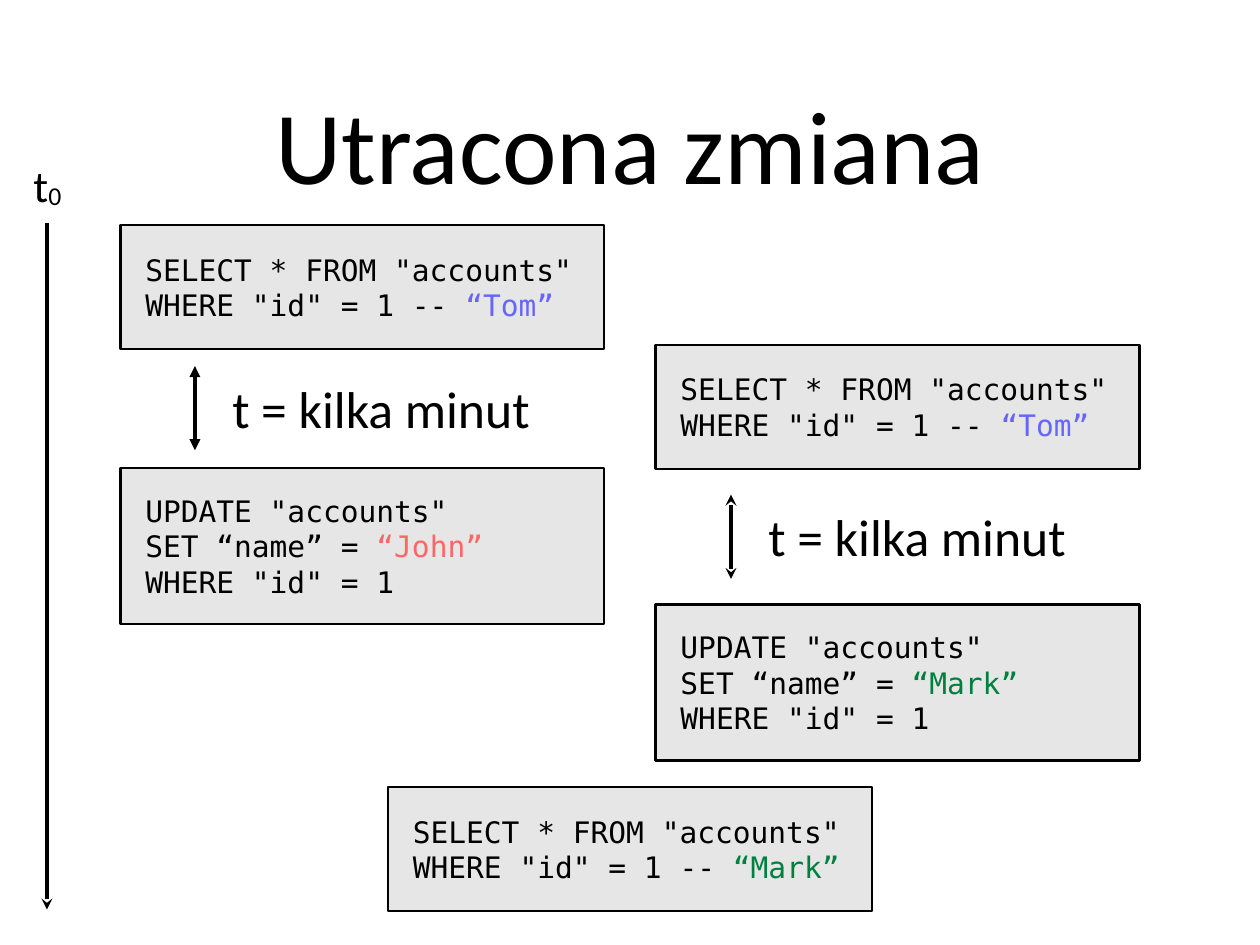
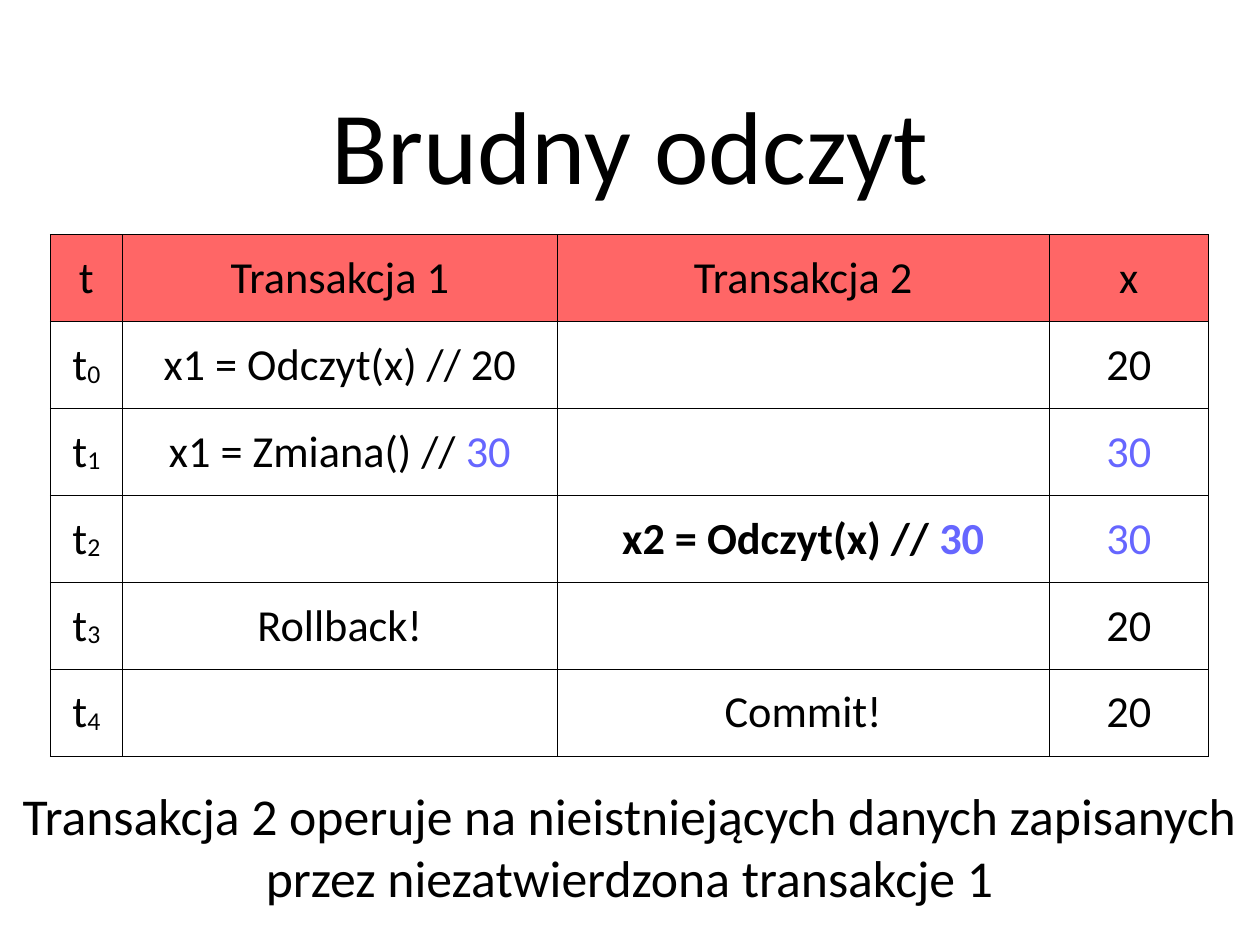
from dataclasses import dataclass

from lxml import etree
from pptx import Presentation
from pptx import util as u
from pptx.dml.color import RGBColor
from pptx.enum import shapes, text
from pptx.oxml import parse_xml
from pptx.oxml.ns import nsdecls, qn

PX = 9144  # EMU per px, 100 px to the inch


@dataclass(frozen=True)
class Theme:
    ink: str = "000000"
    panel: str = "E6E6E6"
    blue: str = "6666FF"
    red: str = "FF6666"
    green: str = "008040"
    sans: str = "Calibri"
    mono: str = "DejaVu Sans Mono"
    title: int = 84
    body: int = 42
    cell: int = 36
    code: int = 24
    frame: int = 2
    arrow: int = 3
    subscript: int = -6000


THEME = Theme()
SLIDE_SIZE = (1422, 1066)
TITLE_AREA = (139, 28, 1144, 267)


# A line of text is a list of runs: (text, options)
def moment(index):
    return [("t", {}), (index, {"sub": True})]


def select(name, color):
    return [[('SELECT * FROM "accounts"', {})],
            [('WHERE "id" = 1 -- ', {}), (name, {"color": color})]]


def update(name, color):
    return [[('UPDATE "accounts"', {})],
            [("SET “name” = ", {}), (name, {"color": color})],
            [('WHERE "id" = 1', {})]]


LOST_TITLE = "Utracona zmiana"
QUERIES = [  # left, top, lines
    (136, 254, select("“Tom”", THEME.blue)),
    (740, 389, select("“Tom”", THEME.blue)),
    (136, 528, update("“John”", THEME.red)),
    (740, 682, update("“Mark”", THEME.green)),
    (438, 888, select("“Mark”", THEME.green)),
]
QUERY_WIDTH, QUERY_PADDING, CODE_LINE, QUERY_INSET = 546, 68, 36, 28
WAIT_TEXT = "t = kilka minut"
WAITS = [(220, 413, "triangle"), (825, 558, "stealth")]  # arrow x, top, head
WAIT_LENGTH = 95
WAIT_LABEL = (16, 12, 388, 70)  # offset from the arrow's top, then size
TIME_AXIS = (53, 1026, 53, 252)
TIME_START = (36, 179, 35, 60)

DIRTY_TITLE = "Brudny odczyt"
THIRTY = ("30", {"color": THEME.blue})
BOLD_THIRTY = ("30", {"color": THEME.blue, "bold": True})
SCHEDULE = [
    [[("t", {})], [("Transakcja 1", {})], [("Transakcja 2", {})], [("x", {})]],
    [moment("0"), [("x1 = Odczyt(x) // 20", {})], [], [("20", {})]],
    [moment("1"), [("x1 = Zmiana() // ", {}), THIRTY], [], [THIRTY]],
    [moment("2"), [], [("x2 = Odczyt(x) // ", {"bold": True}), BOLD_THIRTY], [THIRTY]],
    [moment("3"), [("Rollback!", {})], [], [("20", {})]],
    [moment("4"), [], [("Commit!", {})], [("20", {})]],
]
SCHEDULE_PLACE = (57, 265)
COLUMN_WIDTHS = (81, 491, 555, 180)
ROW_HEIGHT = 98
BORDER = 12192  # EMU
CAPTION = ("Transakcja 2 operuje na nieistniejących danych zapisanych "
           "przez niezatwierdzona transakcje 1")
CAPTION_AREA = (0, 881, 1421, 147)


def px(*lengths):
    return [u.Emu(length * PX) for length in lengths]


def write(frame, lines, size, font=THEME.sans, align=text.PP_ALIGN.CENTER):
    for number, runs in enumerate(lines):
        para = frame.add_paragraph() if number else frame.paragraphs[0]
        para.alignment = align
        for words, options in runs:
            span = para.add_run()
            span.text = words
            span.font.name = font
            span.font.size = u.Pt(size)
            span.font.bold = options.get("bold", False)
            span.font.color.rgb = RGBColor.from_string(options.get("color", THEME.ink))
            if options.get("sub"):
                span._r.get_or_add_rPr().set("baseline", str(THEME.subscript))


def set_frame(frame, inset=0, wrap=True, fit=text.MSO_AUTO_SIZE.NONE):
    frame.word_wrap = wrap
    frame.auto_size = fit
    frame.vertical_anchor = text.MSO_ANCHOR.MIDDLE
    frame.margin_left = frame.margin_top = px(inset)[0]
    frame.margin_right = frame.margin_bottom = px(inset)[0]


def add_page(deck, title):
    page = deck.slides.add_slide(deck.slide_layouts.get_by_name("Title Only"))
    box = page.shapes.title
    box.left, box.top, box.width, box.height = px(*TITLE_AREA)
    set_frame(box.text_frame, inset=6)
    write(box.text_frame, [[(title, {})]], THEME.title)
    return page


def add_label(page, area, runs, size, wrap=False):
    frame = page.shapes.add_textbox(*px(*area)).text_frame
    fit = text.MSO_AUTO_SIZE.NONE if wrap else text.MSO_AUTO_SIZE.SHAPE_TO_FIT_TEXT
    set_frame(frame, wrap=wrap, fit=fit)
    write(frame, [runs], size)


def add_query(page, left, top, lines):
    height = QUERY_PADDING + CODE_LINE * len(lines)
    box = page.shapes.add_shape(shapes.MSO_SHAPE.RECTANGLE,
                                *px(left, top, QUERY_WIDTH, height))
    box.shadow.inherit = False
    box.fill.solid()
    box.fill.fore_color.rgb = RGBColor.from_string(THEME.panel)
    box.line.color.rgb = RGBColor.from_string(THEME.ink)
    box.line.width = u.Pt(THEME.frame)
    set_frame(box.text_frame, inset=QUERY_INSET)
    write(box.text_frame, lines, THEME.code, THEME.mono, text.PP_ALIGN.LEFT)


def add_arrow(page, ends, head, both=False):
    """Draw a line with an arrowhead at its start, or at both ends."""
    arrow = page.shapes.add_connector(shapes.MSO_CONNECTOR.STRAIGHT, *px(*ends))
    arrow.line.color.rgb = RGBColor.from_string(THEME.ink)
    arrow.line.width = u.Pt(THEME.arrow)
    outline = arrow.line._get_or_add_ln()
    for tag in ("a:headEnd", "a:tailEnd") if both else ("a:headEnd",):
        etree.SubElement(outline, qn(tag), type=head)
    etree.SubElement(arrow._element.spPr, qn("a:effectLst"))


def format_cell(cell, runs, fill):
    properties = cell._tc.get_or_add_tcPr()
    for side in "LRTB":
        properties.append(parse_xml(
            f'<a:ln{side} {nsdecls("a")} w="{BORDER}"><a:solidFill>'
            f'<a:srgbClr val="{THEME.ink}"/></a:solidFill></a:ln{side}>'))
    if fill:
        cell.fill.solid()
        cell.fill.fore_color.rgb = RGBColor.from_string(fill)
    else:
        cell.fill.background()
    cell.vertical_anchor = text.MSO_ANCHOR.MIDDLE
    cell.margin_left, cell.margin_right, cell.margin_top, cell.margin_bottom = px(6, 6, 5, 5)
    write(cell.text_frame, [runs], THEME.cell)


def add_schedule(page):
    size = (sum(COLUMN_WIDTHS), ROW_HEIGHT * len(SCHEDULE))
    table = page.shapes.add_table(len(SCHEDULE), len(COLUMN_WIDTHS),
                                  *px(*SCHEDULE_PLACE, *size)).table
    table.first_row = table.horz_banding = False
    for column, width in zip(table.columns, px(*COLUMN_WIDTHS)):
        column.width = width
    for row_number, row in enumerate(SCHEDULE):
        table.rows[row_number].height = px(ROW_HEIGHT)[0]
        for column_number, runs in enumerate(row):
            format_cell(table.cell(row_number, column_number), runs,
                        None if row_number else THEME.red)


def build_lost_update(deck):
    page = add_page(deck, LOST_TITLE)
    for query in QUERIES:
        add_query(page, *query)
    right, down, width, height = WAIT_LABEL
    for x, top, head in WAITS:
        add_arrow(page, (x, top, x, top + WAIT_LENGTH), head, both=True)
        add_label(page, (x + right, top + down, width, height),
                  [(WAIT_TEXT, {})], THEME.body)
    add_arrow(page, TIME_AXIS, "stealth")
    add_label(page, TIME_START, moment("0"), THEME.cell)


def build_dirty_read(deck):
    page = add_page(deck, DIRTY_TITLE)
    add_schedule(page)
    add_label(page, CAPTION_AREA, [(CAPTION, {})], THEME.body, wrap=True)


def main():
    deck = Presentation()
    deck.slide_width, deck.slide_height = px(*SLIDE_SIZE)
    build_lost_update(deck)
    build_dirty_read(deck)
    deck.save("out.pptx")


if __name__ == "__main__":
    main()
